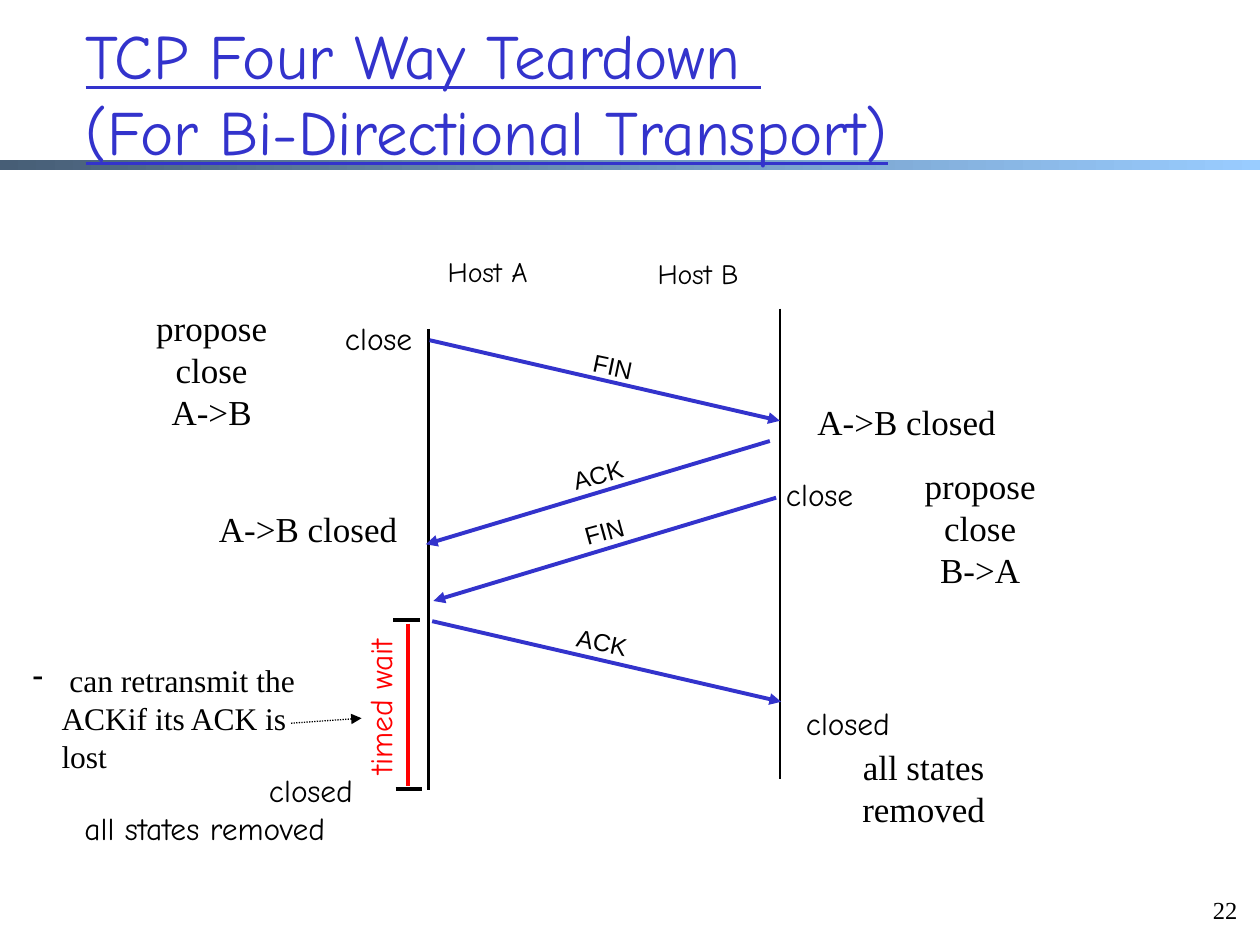
from dataclasses import dataclass

from lxml import etree
from pptx import Presentation
from pptx.dml.color import RGBColor
from pptx.enum.dml import MSO_LINE
from pptx.enum.shapes import MSO_CONNECTOR, MSO_SHAPE
from pptx.enum.text import MSO_ANCHOR, MSO_AUTO_SIZE, PP_ALIGN
from pptx.oxml.ns import qn
from pptx.util import Inches, Pt

LEFT, CENTER, RIGHT = PP_ALIGN.LEFT, PP_ALIGN.CENTER, PP_ALIGN.RIGHT
MIDDLE = MSO_ANCHOR.MIDDLE
NO_FIT = MSO_AUTO_SIZE.NONE
STRAIGHT = MSO_CONNECTOR.STRAIGHT
RECTANGLE = MSO_SHAPE.RECTANGLE
DOTTED = MSO_LINE.ROUND_DOT
COLUMNS, ROWS = 100, 75


@dataclass(frozen=True)
class Theme:
    ink: str = "000000"
    accent: str = "3333CC"
    alert: str = "FF0000"
    band_start: str = "475E76"
    band_end: str = "99CCFF"
    hand: str = "Comic Neue"
    serif: str = "Times New Roman"
    sans: str = "Arial"
    title: int = 36
    remark: int = 20
    state: int = 18
    host: int = 16
    small: int = 14
    thin: float = 0.75
    axis: float = 1.5
    message: float = 2.25


def write(frame, text, font, size, color, align=CENTER, wrap=False,
          underline=None, bullet=None, hanging=0):
    frame.auto_size = NO_FIT
    frame.word_wrap = wrap
    frame.text = text
    for paragraph in frame.paragraphs:
        paragraph.alignment = align
        if bullet:
            properties = paragraph.alignment and paragraph._p.get_or_add_pPr()
            properties.set("marL", str(hanging))
            properties.set("indent", str(-hanging))
            etree.SubElement(properties, qn("a:buChar")).set("char", bullet)
        paragraph.font.name = font
        paragraph.font.size = Pt(size)
        paragraph.font.color.rgb = RGBColor.from_string(color)
        paragraph.font.underline = underline


class Board:
    def __init__(self, deck, theme):
        self.theme = theme
        self.slide = deck.slides.add_slide(deck.slide_layouts[5])
        self.column = deck.slide_width / COLUMNS
        self.row = deck.slide_height / ROWS

    def place(self, x, y):
        return round(x * self.column), round(y * self.row)

    def title(self, text, x, y, width, height):
        heading = self.slide.shapes.title
        heading.left, heading.top = self.place(x, y)
        heading.width, heading.height = self.place(width, height)
        heading.text_frame.vertical_anchor = MIDDLE
        write(heading.text_frame, text, self.theme.hand, self.theme.title,
              self.theme.accent, align=LEFT, wrap=True, underline=True)

    def band(self, y, height):
        band = self.slide.shapes.add_shape(
            RECTANGLE, *self.place(0, y), *self.place(COLUMNS, height))
        band.shadow.inherit = False
        band.line.fill.background()
        band.fill.gradient()
        band.fill.gradient_angle = 0
        ends = (self.theme.band_start, self.theme.band_end)
        for stop, color in zip(band.fill.gradient_stops, ends):
            stop.color.rgb = RGBColor.from_string(color)
        self.slide.shapes.title.element.addprevious(band.element)

    def label(self, text, x, y, width, height, font, size, color=None,
              rotation=0, **layout):
        box = self.slide.shapes.add_textbox(
            *self.place(x, y), *self.place(width, height))
        box.rotation = rotation
        write(box.text_frame, text, font, size, color or self.theme.ink, **layout)
        return box

    def line(self, start, end, color, width, arrow=False, dash=None):
        line = self.slide.shapes.add_connector(
            STRAIGHT, *self.place(*start), *self.place(*end))
        line.line.color.rgb = RGBColor.from_string(color)
        line.line.width = Pt(width)
        if dash:
            line.line.dash_style = dash
        if arrow:
            outline = line.line._get_or_add_ln()
            etree.SubElement(outline, qn("a:tailEnd")).set("type", "triangle")
        etree.SubElement(line.element.spPr, qn("a:effectLst"))


def main():
    deck = Presentation()
    deck.slide_width, deck.slide_height = Inches(10), Inches(7.5)
    theme = Theme()
    board = Board(deck, theme)

    board.band(12.7, 0.8)
    board.title("TCP Four Way Teardown \v(For Bi-Directional Transport)",
                5.8, 1.1, 87.7, 12.5)
    board.label("22", 94.6, 70.5, 4.6, 3.8, theme.serif, theme.small,
                align=RIGHT, wrap=True)

    for host, x, y in (("Host A", 34.1, 19.7), ("Host B", 50.8, 19.9)):
        board.label(host, x, y, 9.2, 3.7, theme.hand, theme.host)
    for x, top, bottom in ((34, 26.1, 62.7), (61.9, 24.5, 61.8)):
        board.line((x, top), (x, bottom), theme.ink, theme.axis)

    messages = (
        ("FIN", (34.1, 27), (61.9, 33.4), (46.1, 27.4, 5.1), 11.8),
        ("ACK", (61.1, 35), (33.8, 43.2), (32.5, 36, 29.9), 344.6),
        ("FIN", (61.6, 39.5), (34.4, 47.7), (33, 40.5, 29.9), 344.6),
        ("ACK", (34.3, 49.3), (62, 55.7), (44.8, 49.3, 6), 11.8),
    )
    for flag, sender, receiver, place, tilt in messages:
        board.line(sender, receiver, theme.accent, theme.message, arrow=True)
        board.label(flag, *place, 3.3, theme.sans, theme.small, rotation=tilt)

    states = (("close", 26.1, 24.8, 7.9), ("close", 61.1, 37.2, 7.9),
              ("closed", 62.6, 55.4, 9.4))
    for state, x, y, width in states:
        board.label(state, x, y, width, 4, theme.hand, theme.state)
    final_state = board.label("closed\nall states removed", 3.5, 60.7, 25.5, 7,
                              theme.hand, theme.state, wrap=True)
    final_state.text_frame.paragraphs[0].alignment = RIGHT

    remarks = (
        ("A->B closed", 16.4, 39.8, 16.1, 4.3, False),
        ("A->B closed", 63.9, 31.3, 16.1, 4.3, False),
        ("all states removed", 62.4, 58.7, 21.8, 4.3, True),
        ("propose close\vA->B", 8.3, 23.8, 17, 7.7, True),
        ("propose close\vB->A", 69.3, 36.4, 17, 7.7, True),
    )
    for remark, x, y, width, height, wrap in remarks:
        board.label(remark, x, y, width, height, theme.serif, theme.remark, wrap=wrap)

    board.line((32.4, 49.5), (32.4, 62.4), theme.alert, theme.message)
    for x, y in ((31.2, 49.2), (31.4, 62.6)):
        board.line((x, y), (x + 2.1, y), theme.ink, theme.message)
    board.label("timed wait", 23, 54.1, 14.3, 4, theme.hand, theme.state,
                theme.alert, rotation=270)
    board.label(" can retransmit the \vACKif its ACK is lost", 1.6, 52, 24.2, 7,
                theme.serif, theme.state, align=LEFT, wrap=True,
                bullet="-", hanging=Inches(0.23))
    board.line((23.1, 57.4), (28.7, 57), theme.ink, theme.thin, arrow=True, dash=DOTTED)

    deck.save("out.pptx")


if __name__ == "__main__":
    main()
